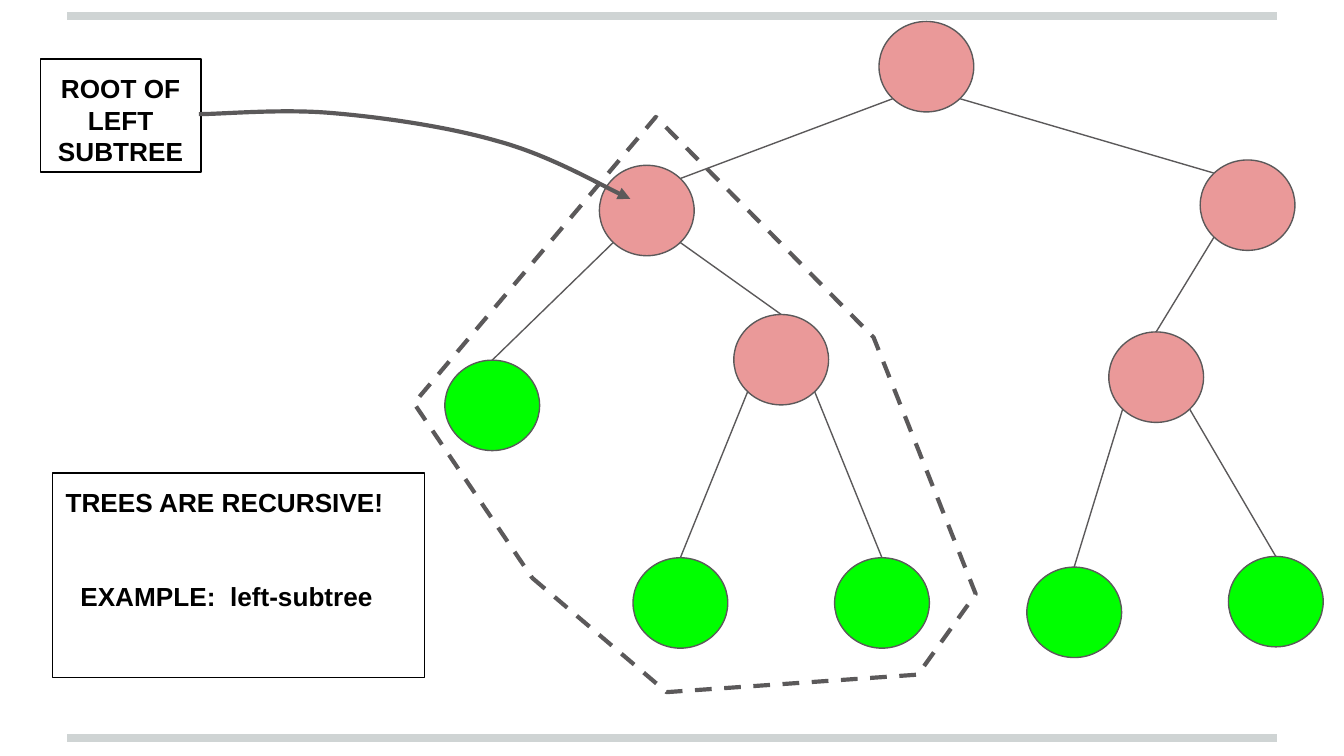
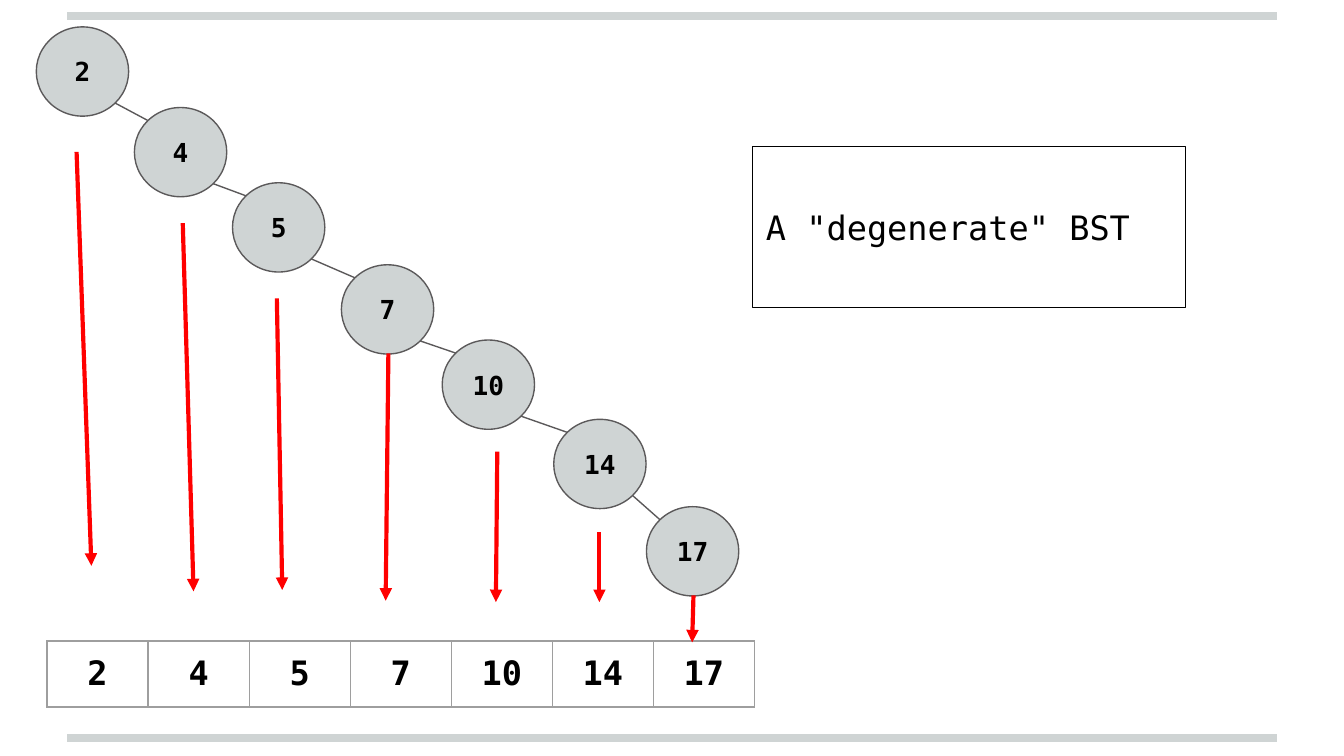
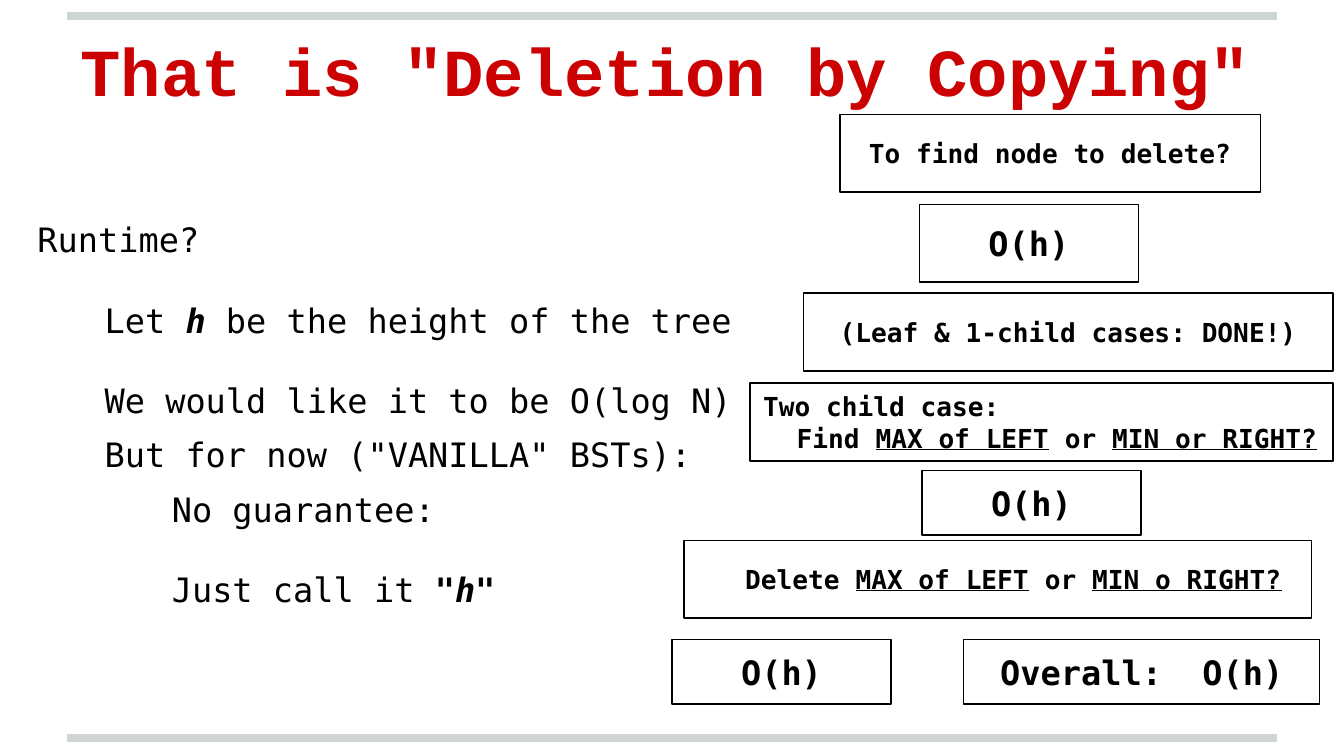
from dataclasses import dataclass
from enum import Enum
from math import sqrt
from typing import NamedTuple, Optional

from lxml.etree import SubElement
from pptx import Presentation
from pptx.dml.color import RGBColor
from pptx.enum.dml import MSO_LINE
from pptx.enum.shapes import MSO_CONNECTOR, MSO_SHAPE
from pptx.enum.text import MSO_ANCHOR, MSO_AUTO_SIZE, PP_ALIGN
from pptx.oxml.ns import qn
from pptx.util import Inches, Pt

# Slide and grid: one column and one row are each a tenth of an inch
SLIDE_WIDTH, SLIDE_HEIGHT = Inches(10), Inches(5.625)
COLUMN = SLIDE_WIDTH / 100
ROW = SLIDE_HEIGHT / 56.25

# Shared colours and fonts
BLACK = RGBColor(0x00, 0x00, 0x00)
GRAY = RGBColor(0x5B, 0x59, 0x5A)
SILVER = RGBColor(0xCF, 0xD4, 0xD4)
GRID_GRAY = RGBColor(0x9E, 0x9E, 0x9E)
PINK = RGBColor(0xEA, 0x99, 0x99)
GREEN = RGBColor(0x00, 0xFF, 0x00)
RED = RGBColor(0xFF, 0x00, 0x00)
TITLE_RED = RGBColor(0xCC, 0x02, 0x02)
SANS, MONO, TITLE_FONT = "Arial", "DejaVu Sans Mono", "Courier New"

THIN, THICK, BAND = 0.75, 2.25, 4
DIAGONAL = sqrt(0.5)


class Point(NamedTuple):
    column: float
    row: float


class Area(NamedTuple):
    column: float
    row: float
    columns: float
    rows: float


class Span(NamedTuple):
    text: str
    bold: bool = False
    italic: bool = False
    underline: bool = False


class Anchor(Enum):
    """Direction from a node's centre to a point on its rim."""
    TOP = (0, -1)
    TOP_LEFT = (-DIAGONAL, -DIAGONAL)
    TOP_RIGHT = (DIAGONAL, -DIAGONAL)
    BOTTOM_LEFT = (-DIAGONAL, DIAGONAL)
    BOTTOM_RIGHT = (DIAGONAL, DIAGONAL)


@dataclass
class Para:
    spans: list[Span]
    size: float = 14
    font: str = MONO
    align: PP_ALIGN = PP_ALIGN.LEFT
    color: RGBColor = BLACK
    before: float = 0
    indent: float = 0


@dataclass
class Box:
    area: Area
    paras: list[Para]
    anchor: MSO_ANCHOR = MSO_ANCHOR.MIDDLE


@dataclass
class Node:
    area: Area
    fill: RGBColor
    label: Optional[str] = None

    def rim(self, anchor: Anchor) -> Point:
        across, down = anchor.value
        column, row, columns, rows = self.area
        return Point(column + columns / 2 * (1 + across), row + rows / 2 * (1 + down))


@dataclass
class Edge:
    parent: str
    side: Anchor
    child: str
    end: Anchor = Anchor.TOP


# Shared drawing functions
def place(point: Point) -> tuple[int, int]:
    return round(point.column * COLUMN), round(point.row * ROW)


def frame(area: Area) -> tuple[int, int, int, int]:
    return place(Point(area.column, area.row)) + place(Point(area.columns, area.rows))


def style_line(shape, color: RGBColor, width: float, arrow: bool = False) -> None:
    shape.line.color.rgb = color
    shape.line.width = Pt(width)
    if arrow:
        outline = next(shape.element.iter(qn("a:ln")))
        SubElement(outline, qn("a:tailEnd"), type="triangle")


def write_text(text_frame, paras: list[Para], anchor: MSO_ANCHOR) -> None:
    text_frame.word_wrap = True
    text_frame.auto_size = MSO_AUTO_SIZE.NONE
    text_frame.vertical_anchor = anchor
    text_frame.margin_left = text_frame.margin_right = Inches(0.1)
    text_frame.margin_top = text_frame.margin_bottom = Inches(0.1)
    fill_paras(text_frame, paras)


def fill_paras(text_frame, paras: list[Para]) -> None:
    for index, para in enumerate(paras):
        paragraph = text_frame.add_paragraph() if index else text_frame.paragraphs[0]
        paragraph.alignment = para.align
        paragraph.space_before = Pt(para.before)
        if para.indent:
            properties = paragraph._p.get_or_add_pPr()
            properties.set("marL", str(Inches(para.indent)))
            properties.set("indent", "0")
        for span in para.spans:
            run = paragraph.add_run()
            run.text = span.text
            font = run.font
            font.name, font.size, font.color.rgb = para.font, Pt(para.size), para.color
            font.bold, font.italic, font.underline = span.bold, span.italic, span.underline


def draw_line(page, start: Point, end: Point, color: RGBColor = GRAY,
              width: float = THIN, arrow: bool = False):
    line = page.shapes.add_connector(MSO_CONNECTOR.STRAIGHT, *place(start), *place(end))
    style_line(line, color, width, arrow)
    SubElement(line.element.spPr, qn("a:effectLst"))
    return line


def draw_box(page, box: Box) -> None:
    shape = page.shapes.add_shape(MSO_SHAPE.RECTANGLE, *frame(box.area))
    shape.shadow.inherit = False
    shape.fill.background()
    style_line(shape, BLACK, THIN)
    write_text(shape.text_frame, box.paras, box.anchor)


def draw_node(page, node: Node):
    shape = page.shapes.add_shape(MSO_SHAPE.OVAL, *frame(node.area))
    shape.shadow.inherit = False
    shape.fill.solid()
    shape.fill.fore_color.rgb = node.fill
    style_line(shape, GRAY, THIN)
    if node.label:
        label = Para([Span(node.label, bold=True)], align=PP_ALIGN.CENTER)
        write_text(shape.text_frame, [label], MSO_ANCHOR.MIDDLE)
    return shape


def draw_outline(page, points: list[Point], close: bool):
    start, *rest = [place(point) for point in points]
    builder = page.shapes.build_freeform(*start)
    builder.add_line_segments(rest, close=close)
    shape = builder.convert_to_shape()
    shape.shadow.inherit = False
    shape.fill.background()
    style_line(shape, GRAY, THICK, arrow=not close)
    return shape


def bend_segments(shape) -> None:
    """Turn each three straight segments into one cubic curve."""
    segments = list(shape.element.iter(qn("a:lnTo")))
    for first in range(0, len(segments), 3):
        trio = segments[first:first + 3]
        curve = SubElement(trio[0].getparent(), qn("a:cubicBezTo"))
        for segment in trio:
            curve.append(segment[0])
            segment.getparent().remove(segment)


def add_bands(deck, page) -> None:
    """Draw the two bands and hand them to the slide master."""
    for row in (1.2, 54.9):
        band = draw_line(page, Point(5, row), Point(95, row), SILVER, BAND)
        deck.slide_master.shapes.element.append(band.element)


def add_page(deck, layout: str):
    return deck.slides.add_slide(deck.slide_layouts.get_by_name(layout))


# Slide 1: a tree with its left subtree outlined
def tree_node(column: float, row: float, fill: RGBColor) -> Node:
    return Node(Area(column, row, 7.05, 6.73), fill)


TREE = {
    "root": tree_node(65.4, 1.6, PINK),
    "left": tree_node(44.6, 12.3, PINK),
    "right": tree_node(89.3, 11.9, PINK),
    "left leaf": tree_node(33.1, 26.8, GREEN),
    "left inner": tree_node(54.6, 23.4, PINK),
    "inner leaf 1": tree_node(47.1, 41.5, GREEN),
    "inner leaf 2": tree_node(62.1, 41.5, GREEN),
    "right inner": tree_node(82.5, 24.7, PINK),
    "right leaf 1": tree_node(76.4, 42.2, GREEN),
    "right leaf 2": tree_node(91.4, 41.4, GREEN),
}
TREE_EDGES = [
    Edge("root", Anchor.BOTTOM_LEFT, "left", Anchor.TOP_RIGHT),
    Edge("root", Anchor.BOTTOM_RIGHT, "right", Anchor.TOP_LEFT),
    Edge("left", Anchor.BOTTOM_LEFT, "left leaf"),
    Edge("left", Anchor.BOTTOM_RIGHT, "left inner"),
    Edge("left inner", Anchor.BOTTOM_LEFT, "inner leaf 1"),
    Edge("left inner", Anchor.BOTTOM_RIGHT, "inner leaf 2"),
    Edge("right", Anchor.BOTTOM_LEFT, "right inner"),
    Edge("right inner", Anchor.BOTTOM_LEFT, "right leaf 1"),
    Edge("right inner", Anchor.BOTTOM_RIGHT, "right leaf 2"),
]
SUBTREE_OUTLINE = [
    Point(39.6, 43), Point(49.6, 51.5), Point(68.3, 50.2), Point(72.6, 44.2),
    Point(65, 25.1), Point(48.8, 8.7), Point(30.8, 30),
]
POINTER_CURVE = [
    Point(14.8, 8.5),
    Point(16.5, 8.5), Point(20.8, 8.1), Point(24.5, 8.4),
    Point(28.2, 8.7), Point(33.2, 9.4), Point(37, 10.5),
    Point(40.7, 11.5), Point(45.3, 14.1), Point(46.9, 14.8),
]
TREE_BOXES = [
    Box(Area(3.9, 35.2, 27.7, 15.2), [
        Para([Span("TREES ARE RECURSIVE!", True)], font=SANS),
        Para([Span("EXAMPLE:  left-subtree", True)], font=SANS, before=33.5, indent=0.11),
    ], MSO_ANCHOR.TOP),
    Box(Area(3, 4.4, 11.95, 8.4), [
        Para([Span("ROOT OF LEFT SUBTREE", True)], font=SANS, align=PP_ALIGN.CENTER),
    ], MSO_ANCHOR.TOP),
]


def build_tree_page(deck) -> None:
    page = add_page(deck, "Blank")
    add_bands(deck, page)
    circles = {name: draw_node(page, node) for name, node in TREE.items()}
    for edge in TREE_EDGES:
        line = draw_line(page, TREE[edge.parent].rim(edge.side), TREE[edge.child].rim(edge.end))
        if edge.end is Anchor.TOP:
            line.end_connect(circles[edge.child], 0)
    outline = draw_outline(page, SUBTREE_OUTLINE, close=True)
    outline.line.dash_style = MSO_LINE.DASH
    for box in TREE_BOXES:
        draw_box(page, box)
    bend_segments(draw_outline(page, POINTER_CURVE, close=False))


# Slide 2: a chain of nodes dropping into a sorted row
class Drop(NamedTuple):
    label: str
    node: Point
    start: Point
    end: Point


DROPS = [
    Drop("2", Point(2.7, 2), Point(5.7, 11.3), Point(6.8, 42.1)),
    Drop("4", Point(10, 8), Point(13.6, 16.6), Point(14.4, 44)),
    Drop("5", Point(17.3, 13.6), Point(20.6, 22.2), Point(21, 43.9)),
    Drop("7", Point(25.4, 19.7), Point(28.9, 26.3), Point(28.7, 44.7)),
    Drop("10", Point(32.9, 25.3), Point(37, 33.6), Point(36.9, 44.8)),
    Drop("14", Point(41.2, 31.2), Point(44.6, 39.6), Point(44.6, 44.8)),
    Drop("17", Point(48.1, 37.7), Point(51.6, 44.3), Point(51.5, 47.8)),
]
SORTED_ROW = Area(3.5, 47.7, 7.52 * len(DROPS), 4.2)
CHAIN_BOX = Box(Area(56, 10.9, 32.2, 12), [Para([Span('A "degenerate" BST')], 18)])


def draw_borders(cell) -> None:
    properties = cell._tc.get_or_add_tcPr()
    for index, side in enumerate(("lnL", "lnR", "lnT", "lnB")):
        border = SubElement(properties, qn(f"a:{side}"), w=str(Pt(THIN)))
        fill = SubElement(border, qn("a:solidFill"))
        SubElement(fill, qn("a:srgbClr"), val=str(GRID_GRAY))
        properties.insert(index, border)


def draw_sorted_row(page) -> None:
    table = page.shapes.add_table(1, len(DROPS), *frame(SORTED_ROW)).table
    table.first_row = table.horz_banding = False
    for cell, drop in zip(table.rows[0].cells, DROPS):
        cell.fill.background()
        cell.margin_left = cell.margin_right = Inches(0.1)
        cell.margin_top = cell.margin_bottom = Inches(0.1)
        number = Para([Span(drop.label, True)], 18, align=PP_ALIGN.CENTER)
        fill_paras(cell.text_frame, [number])
        draw_borders(cell)


def build_chain_page(deck) -> None:
    page = add_page(deck, "Blank")
    draw_sorted_row(page)
    chain = [Node(Area(*drop.node, 6.87, 6.64), SILVER, drop.label) for drop in DROPS]
    for node in chain:
        draw_node(page, node)
    for upper, lower in zip(chain, chain[1:]):
        draw_line(page, upper.rim(Anchor.BOTTOM_RIGHT), lower.rim(Anchor.TOP_LEFT))
    for drop in DROPS:
        draw_line(page, drop.start, drop.end, RED, THICK, arrow=True)
    draw_box(page, CHAIN_BOX)


# Slide 3: the running time of deletion by copying
def centred(text: str, size: float) -> list[Para]:
    return [Para([Span(text, True)], size, align=PP_ALIGN.CENTER)]


def choice(verb: str, second: str) -> Para:
    spans = [Span(f"{verb} ", True), Span("MAX of LEFT", True, underline=True),
             Span(" or ", True), Span(second, True, underline=True)]
    return Para(spans, align=PP_ALIGN.CENTER, indent=0.23)


WIDE_GAP, NARROW_GAP = 21.5, 7.5
RUNTIME_AREA = Area(1.8, 15.3, 55.5, 36.1)
RUNTIME_TEXT = [
    Para([Span("Runtime?")], 18),
    Para([Span("Let "), Span("h", True, True), Span(" be the height of the tree")],
         18, before=WIDE_GAP, indent=0.5),
    Para([Span("We would like it to be O(log N)")], 18, before=WIDE_GAP, indent=0.5),
    Para([Span('But for now ("VANILLA" BSTs):')], 18, before=NARROW_GAP, indent=0.5),
    Para([Span("No guarantee:")], 18, before=NARROW_GAP, indent=1),
    Para([Span("Just call it "), Span('"h"', True, True)], 18, before=WIDE_GAP, indent=1),
]
STEP_BOXES = [
    Box(Area(62.5, 8.5, 31.3, 5.8), centred("To find node to delete?", 14)),
    Box(Area(68.4, 15.2, 16.3, 5.8), centred("O(h)", 18)),
    Box(Area(59.8, 21.8, 39.4, 5.8), centred("(Leaf & 1-child cases: DONE!)", 14)),
    Box(Area(55.8, 28.5, 43.4, 5.8), [
        Para([Span("Two child case:", True)]), choice("Find", "MIN or RIGHT?")]),
    Box(Area(68.6, 35, 16.3, 4.8), centred("O(h)", 18)),
    Box(Area(50.9, 40.2, 46.7, 5.8), [choice("Delete", "MIN o RIGHT?")]),
    Box(Area(50, 47.6, 16.3, 4.8), centred("O(h)", 18)),
    Box(Area(71.7, 47.6, 26.5, 4.8), centred("Overall:  O(h)", 18)),
]


def build_runtime_page(deck) -> None:
    page = add_page(deck, "Title Only")
    title = page.shapes.title
    title.left, title.top, title.width, title.height = frame(Area(5, -0.2, 90, 9.4))
    heading = Para([Span('That is "Deletion by Copying"', True)], 36, TITLE_FONT,
                   color=TITLE_RED)
    write_text(title.text_frame, [heading], MSO_ANCHOR.BOTTOM)
    runtime = page.shapes.add_textbox(*frame(RUNTIME_AREA))
    write_text(runtime.text_frame, RUNTIME_TEXT, MSO_ANCHOR.TOP)
    for box in STEP_BOXES:
        draw_box(page, box)


def main() -> None:
    deck = Presentation()
    deck.slide_width, deck.slide_height = SLIDE_WIDTH, SLIDE_HEIGHT
    build_tree_page(deck)
    build_chain_page(deck)
    build_runtime_page(deck)
    deck.save("out.pptx")


if __name__ == "__main__":
    main()
